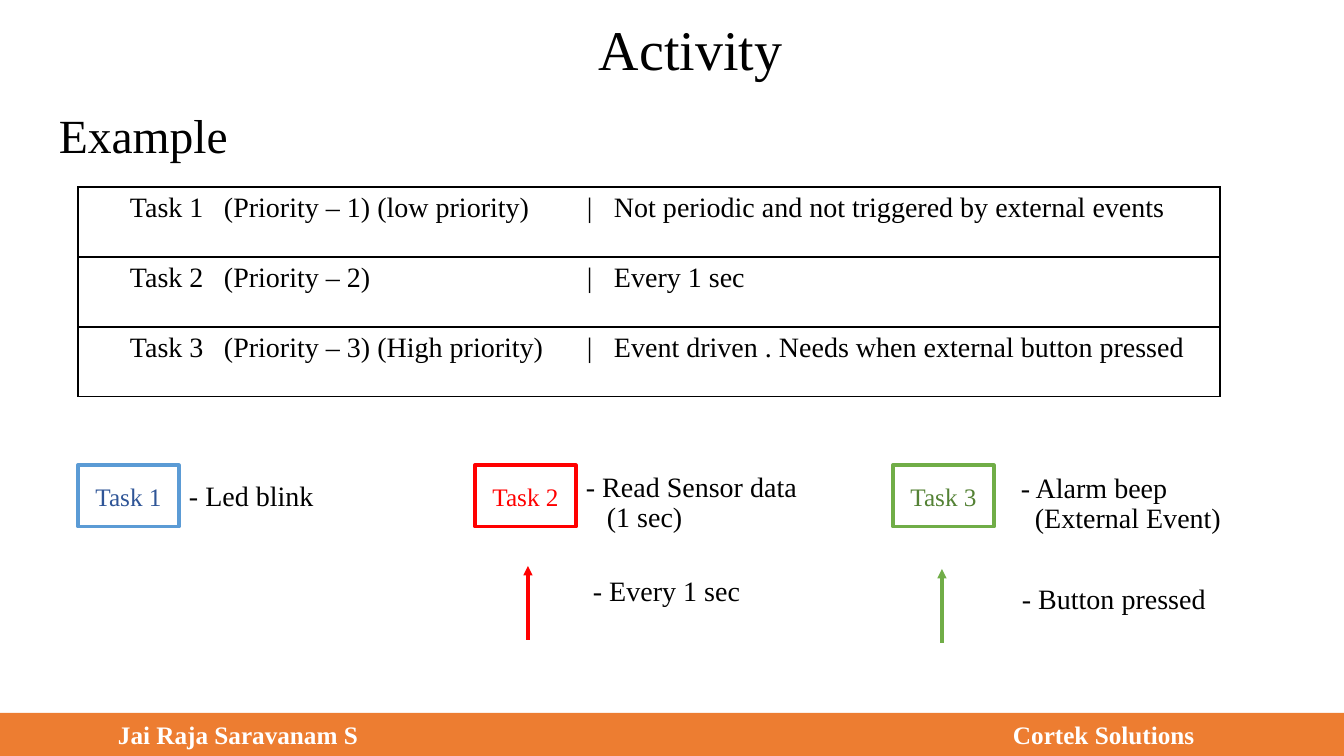
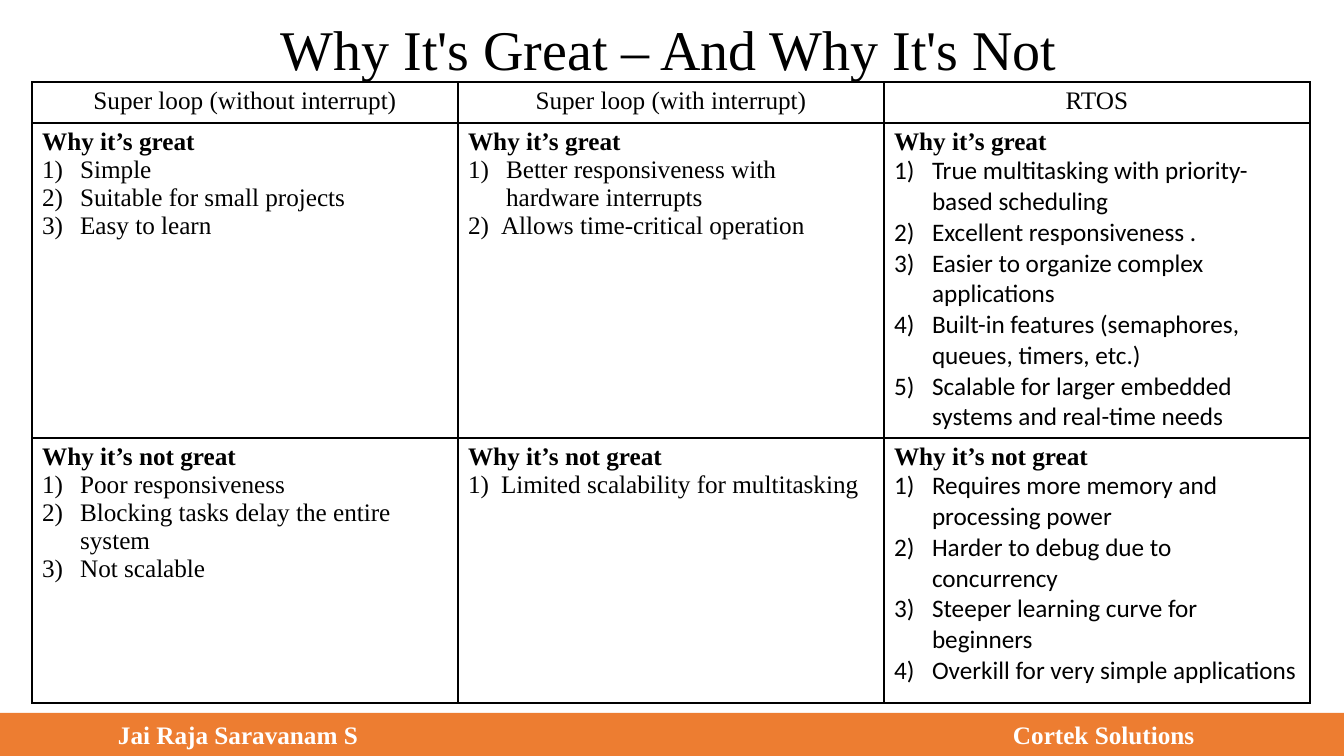
from lxml.etree import SubElement
from pptx import Presentation
from pptx.dml.color import RGBColor
from pptx.enum.shapes import MSO_CONNECTOR as CONNECTOR, MSO_SHAPE as SHAPE
from pptx.enum.text import MSO_ANCHOR as ANCHOR, PP_ALIGN as ALIGN
from pptx.oxml import parse_xml
from pptx.oxml.ns import nsdecls, qn
from pptx.util import Pt

WIDTH, HEIGHT = 1344, 756
EMU_PER_PX = 12192000 / WIDTH
FOOTER_HEIGHT = 43
SERIF, SANS = "Times New Roman", "Calibri"
COLORS = {
    "black": "000000", "white": "FFFFFF", "footer": "ED7D31",
    "blue": "5B9BD5", "blue text": "2F5597", "red": "FF0000",
    "green": "70AD47", "green text": "548235",
}

TASK_ROWS = [
    "Task 1\t(Priority – 1) (low priority)\t|\tNot periodic and not triggered by external events",
    "Task 2\t(Priority – 2)\t|\tEvery 1 sec",
    "Task 3\t(Priority – 3) (High priority)\t|\tEvent driven . Needs when external button pressed",
]
TASK_TABS = (94, 457, 484)

# name, left, outline colour, text colour
TASKS = [
    ("Task 1", 78, "blue", "blue text"),
    ("Task 2", 475, "red", "red"),
    ("Task 3", 893, "green", "green text"),
]
# box, lines, indent of the second line
NOTES = [
    ((179, 477, 183, 50), ["- Led blink"], 0),
    ((576, 468, 235, 61), ["- Read Sensor data", "(1 sec)"], 21),
    ((1011, 469, 235, 61), ["- Alarm beep", "(External Event)"], 14),
    ((583, 572, 235, 61), ["- Every 1 sec"], 0),
    ((1012, 580, 235, 61), ["- Button pressed"], 0),
]

APPROACHES = ["Super loop (without interrupt)", "Super loop (with interrupt)", "RTOS"]
APPROACH_FONTS = [SERIF, SERIF, SANS]
WIDE, NARROW = 38, 33
# one list per approach: (text, hanging indent)
VERDICTS = [
    ("Why it’s great", [
        [("Simple", WIDE), ("Suitable for small projects", WIDE), ("Easy to learn", WIDE)],
        [("Better responsiveness with hardware interrupts", WIDE),
         ("Allows time-critical operation", NARROW)],
        [("True multitasking with priority-based scheduling", WIDE),
         ("Excellent responsiveness .", WIDE),
         ("Easier to organize complex applications", WIDE),
         ("Built-in features (semaphores, queues, timers, etc.)", WIDE),
         ("Scalable for larger embedded systems and real-time needs", WIDE)],
    ]),
    ("Why it’s not great", [
        [("Poor responsiveness", WIDE), ("Blocking tasks delay the entire system", WIDE),
         ("Not scalable", WIDE)],
        [("Limited scalability for multitasking", NARROW)],
        [("Requires more memory and processing power", WIDE),
         ("Harder to debug due to concurrency", WIDE),
         ("Steeper learning curve for beginners", WIDE),
         ("Overkill for very simple applications", WIDE)],
    ]),
]


def px(length):
    return round(length * EMU_PER_PX)


def rgb(color):
    return RGBColor.from_string(COLORS[color])


def style(paragraph, size, color="black", font=SERIF, bold=False):
    paragraph.font.size = Pt(size)
    paragraph.font.name = font
    paragraph.font.bold = bold
    paragraph.font.color.rgb = rgb(color)


def set_tabs(paragraph, stops):
    tabs = SubElement(paragraph._p.get_or_add_pPr(), qn("a:tabLst"))
    for stop in stops:
        SubElement(tabs, qn("a:tab"), pos=str(px(stop)), algn="l")


def set_number(paragraph, number, indent, font):
    """Number a paragraph as 1), 2), ... with a hanging indent."""
    properties = paragraph._p.get_or_add_pPr()
    properties.set("marL", str(px(indent)))
    properties.set("indent", str(-px(indent)))
    SubElement(properties, qn("a:buFont"), typeface=font)
    SubElement(properties, qn("a:buAutoNum"), type="arabicParenR", startAt=str(number))


def add_text(slide, box, lines, size, second_indent=0):
    frame = slide.shapes.add_textbox(*map(px, box)).text_frame
    frame.word_wrap = True
    frame.text = "\n".join(lines)
    for index, paragraph in enumerate(frame.paragraphs):
        paragraph.line_spacing = 0.9
        if index and second_indent:
            paragraph._p.get_or_add_pPr().set("marL", str(px(second_indent)))
        style(paragraph, size)


def add_title(slide, text, left, width):
    add_text(slide, (left, 17, width, 103), [text], 40)


def add_rectangle(slide, box, fill, outline=None):
    rectangle = slide.shapes.add_shape(SHAPE.RECTANGLE, *map(px, box))
    rectangle.shadow.inherit = False
    rectangle.fill.solid()
    rectangle.fill.fore_color.rgb = rgb(fill)
    if outline:
        rectangle.line.color.rgb = rgb(outline)
        rectangle.line.width = Pt(2.25)
    else:
        rectangle.line.fill.background()
    rectangle.text_frame.vertical_anchor = ANCHOR.MIDDLE
    return rectangle


def add_footer(slide):
    band = add_rectangle(
        slide, (0, HEIGHT - FOOTER_HEIGHT, WIDTH, FOOTER_HEIGHT), "footer")
    band.text_frame.margin_left = px(118)
    credit = band.text_frame.paragraphs[0]
    credit.text = "Jai Raja Saravanam S\tCortek Solutions"
    credit.alignment = ALIGN.LEFT
    set_tabs(credit, [895])
    style(credit, 18, "white", bold=True)


def add_task(slide, name, left, outline, color):
    task = add_rectangle(slide, (left, 465, 101, 62), "white", outline)
    label = task.text_frame.paragraphs[0]
    label.text = name
    label.alignment = ALIGN.CENTER
    style(label, 18, color)


def add_up_arrow(slide, x, bottom, top, color):
    arrow = slide.shapes.add_connector(
        CONNECTOR.STRAIGHT, px(x), px(bottom), px(x), px(top))
    arrow.line.color.rgb = rgb(color)
    arrow.line.width = Pt(2.25)
    properties = arrow._element.spPr
    SubElement(properties.find(qn("a:ln")), qn("a:tailEnd"), type="triangle")
    SubElement(properties, qn("a:effectLst"))


def add_grid(slide, left, top, widths, heights):
    """Add a plain table with thin black borders."""
    box = (left, top, sum(widths), sum(heights))
    table = slide.shapes.add_table(len(heights), len(widths), *map(px, box)).table
    table.first_row = table.horz_banding = False
    for column, width in zip(table.columns, widths):
        column.width = px(width)
    for row, height in zip(table.rows, heights):
        row.height = px(height)
    for cell in table.iter_cells():
        cell.fill.background()
        for position, side in enumerate("LRTB"):
            border = parse_xml(
                f'<a:ln{side} {nsdecls("a")} w="{Pt(1)}"><a:solidFill>'
                f'<a:srgbClr val="{COLORS["black"]}"/></a:solidFill></a:ln{side}>')
            cell._tc.tcPr.insert(position, border)
    return table


def fill_verdict(cell, heading, points, font):
    frame = cell.text_frame
    frame.text = heading
    style(frame.paragraphs[0], 18, bold=True)
    for number, (text, indent) in enumerate(points, 1):
        point = frame.add_paragraph()
        point.text = text
        set_number(point, number, indent, font)
        style(point, 18, font=font)


def build_activity(slide):
    add_text(slide, (49, 107, 235, 64), ["Example"], 34)
    table = add_grid(slide, 78, 187, [1142], [70] * len(TASK_ROWS))
    for cell, text in zip(table.iter_cells(), TASK_ROWS):
        cell.margin_left = px(52)
        entry = cell.text_frame.paragraphs[0]
        entry.text = text
        set_tabs(entry, TASK_TABS)
        style(entry, 20)
    for task in TASKS:
        add_task(slide, *task)
    for box, lines, second_indent in NOTES:
        add_text(slide, box, lines, 20, second_indent)
    add_up_arrow(slide, 528, 640, 566, "red")
    add_up_arrow(slide, 942, 643, 569, "green")
    add_title(slide, "Activity", 589, 223)


def build_comparison(slide):
    add_title(slide, "Why It's Great – And Why It's Not", 271, 856)
    table = add_grid(slide, 32, 82, [426] * len(APPROACHES), [41, 315, 265])
    for column, approach in enumerate(APPROACHES):
        header = table.cell(0, column).text_frame.paragraphs[0]
        header.text = approach
        header.alignment = ALIGN.CENTER
        style(header, 18)
        for row, (heading, lists) in enumerate(VERDICTS, 1):
            fill_verdict(table.cell(row, column), heading, lists[column],
                         APPROACH_FONTS[column])


def main():
    deck = Presentation()
    deck.slide_width, deck.slide_height = px(WIDTH), px(HEIGHT)
    for build in (build_activity, build_comparison):
        slide = deck.slides.add_slide(deck.slide_layouts[6])
        build(slide)
        add_footer(slide)
    deck.save("out.pptx")


if __name__ == "__main__":
    main()
